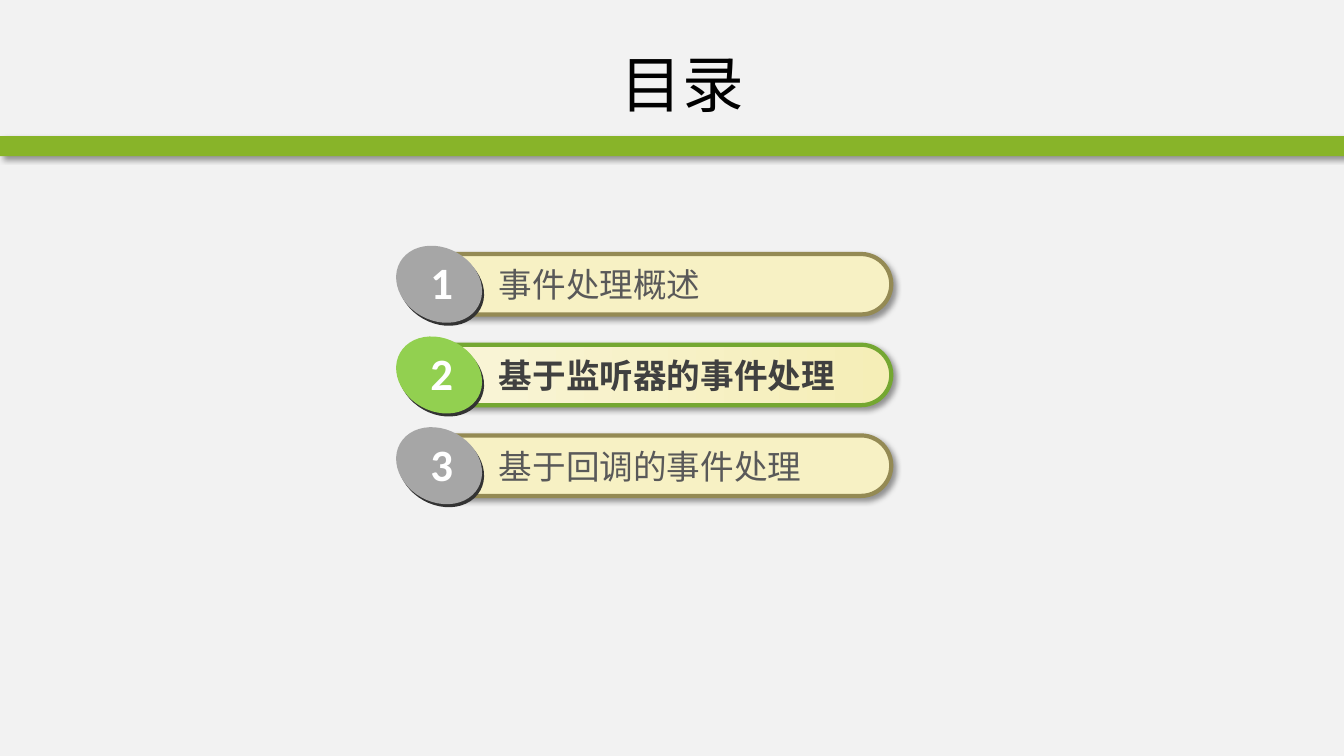
from lxml import etree
from pptx import Presentation
from pptx.dml.color import RGBColor
from pptx.enum import shapes, text
from pptx.oxml import ns
from pptx.util import Inches, Pt

TITLE = "目录"
CHAPTERS = ["事件处理概述", "基于监听器的事件处理", "基于回调的事件处理"]
CURRENT = 2
CJK, LATIN = "Noto Sans CJK SC", "Calibri"
COLORS = {
    "background": "F2F2F2", "band": "88B429", "shadow": "000000",
    "bar": "F7F1C4", "bar_edge": "948A54", "label": "595959",
    "bar_start": "F9F5D9", "bar_end": "F5EEB7", "current_edge": "74A731",
    "current_label": "404040", "badge": "A6A6A6", "current_badge": "92D050",
    "badge_rim": "333333", "number": "FFFFFF", "title": "000000",
}
FIRST_TOP, PITCH = 2.52, 0.9
KIND = shapes.MSO_SHAPE


def rgb(name):
    return RGBColor.from_string(COLORS[name])


def add_block(parent, kind, box, fill, edge=None, shadow=False, rotation=0):
    block = parent.add_shape(kind, *map(Inches, box))
    block.rotation = rotation
    block.fill.solid()
    block.fill.fore_color.rgb = rgb(fill)
    if edge:
        block.line.color.rgb = rgb(edge)
        block.line.width = Pt(3)
    else:
        block.line.fill.background()
    block.shadow.inherit = False
    if shadow:
        effects = block._element.spPr.find(ns.qn("a:effectLst"))
        outer = etree.SubElement(effects, ns.qn("a:outerShdw"), blurRad=str(Pt(4)),
                                 dist=str(Pt(3)), dir="2700000", algn="tl", rotWithShape="0")
        tint = etree.SubElement(outer, ns.qn("a:srgbClr"), val=COLORS["shadow"])
        etree.SubElement(tint, ns.qn("a:alpha"), val="40000")
    return block


def add_text(parent, words, box, size, color, font=CJK, bold=False, wrap=True,
             align=text.PP_ALIGN.LEFT, anchor=text.MSO_ANCHOR.TOP):
    frame = parent.add_textbox(*map(Inches, box)).text_frame
    frame.word_wrap = wrap
    frame.vertical_anchor = anchor
    paragraph = frame.paragraphs[0]
    paragraph.alignment = align
    run = paragraph.add_run()
    run.text = words
    run.font.size = Pt(size)
    run.font.bold = bold
    run.font.name = font
    run.font.color.rgb = rgb(color)
    etree.SubElement(run._r.get_or_add_rPr(), ns.qn("a:ea"), typeface=font)


def add_chapter(slide, number, name):
    top = FIRST_TOP + (number - 1) * PITCH
    current = number == CURRENT
    group = slide.shapes.add_group_shape().shapes
    bar = add_block(group, KIND.ROUNDED_RECTANGLE, (4.13, top, 4.71, 0.6), "bar",
                    edge="current_edge" if current else "bar_edge", shadow=True)
    bar.adjustments[0] = 0.5
    if current:
        bar.fill.gradient()
        bar.fill.gradient_angle = 0
        for stop, color in zip(bar.fill.gradient_stops, ("bar_start", "bar_end")):
            stop.color.rgb = rgb(color)
    add_text(group, name, (4.85, top + 0.05, 3.75, 0.5), 24,
             "current_label" if current else "label", bold=current)
    badge = "current_badge" if current else "badge"
    for left, rise, color in ((3.93, 0.03, "badge_rim"), (3.91, 0.06, badge)):
        add_block(group, KIND.OVAL, (left, top - rise, 0.89, 0.72), color, rotation=29.3)
    add_text(group, str(number), (4.17, top - 0.04, 0.43, 0.64), 32, "number",
             font=LATIN, bold=True, wrap=False)


def main():
    """Build the contents slide with the current chapter highlighted."""
    deck = Presentation()
    deck.slide_width, deck.slide_height = Inches(13.33), Inches(7.5)
    slide = deck.slides.add_slide(deck.slide_layouts[6])
    slide.background.fill.solid()
    slide.background.fill.fore_color.rgb = rgb("background")
    add_block(slide.shapes, KIND.RECTANGLE, (0, 1.35, 13.33, 0.2), "band", shadow=True)
    add_text(slide.shapes, TITLE, (1.39, 0.3, 10.76, 1.05), 44, "title",
             align=text.PP_ALIGN.CENTER, anchor=text.MSO_ANCHOR.MIDDLE)
    for number, name in enumerate(CHAPTERS, 1):
        add_chapter(slide, number, name)
    deck.save("out.pptx")


if __name__ == "__main__":
    main()
